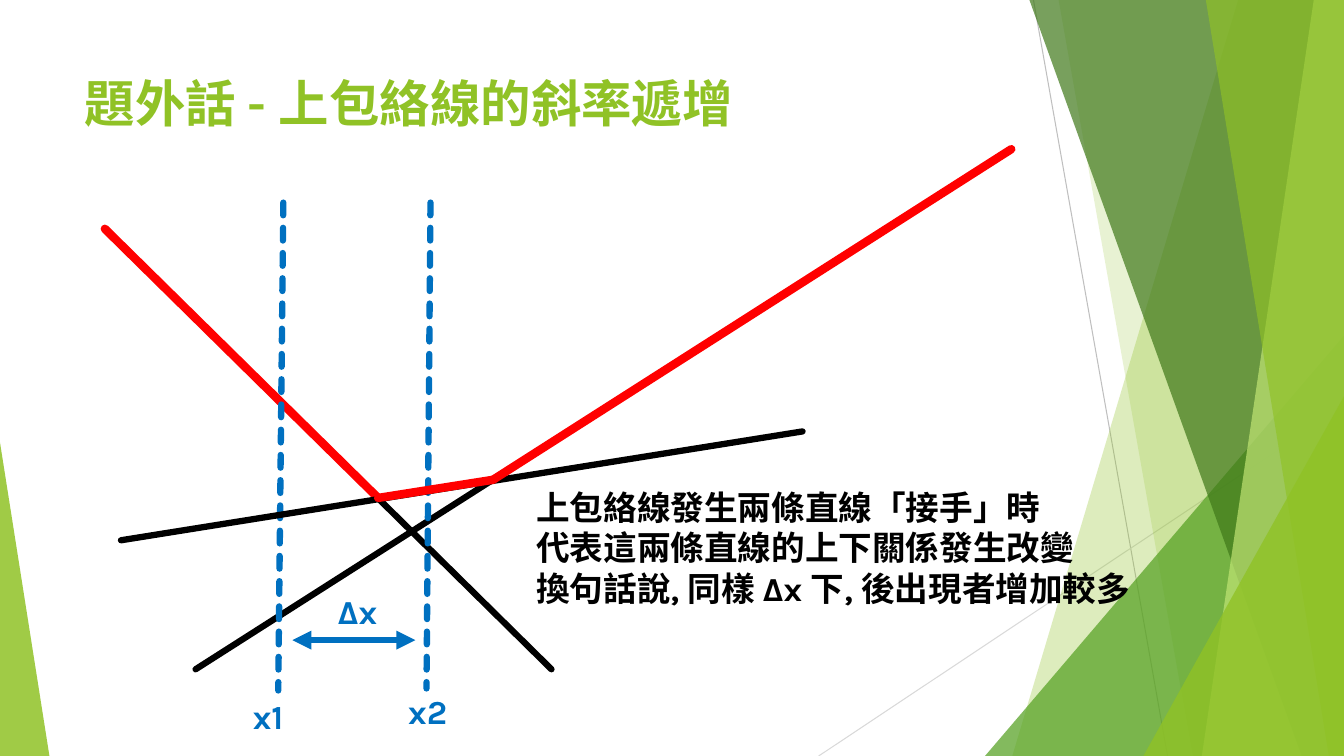
"""Build a slide on the rising slope of an upper envelope of lines."""
import lxml.etree
import pptx
import pptx.dml.color
import pptx.enum.dml
import pptx.enum.shapes
import pptx.enum.text
import pptx.oxml.ns
import pptx.util

Inches = pptx.util.Inches
GREEN, BLUE, RED, BLACK = "90C226", "0070C0", "FF0000", "000000"
WIDTH, HEIGHT = 13.33, 7.5

deck = pptx.Presentation()
deck.slide_width, deck.slide_height = Inches(WIDTH), Inches(HEIGHT)
page = deck.slides.add_slide(deck.slide_layouts[5])


def paint(color_format, color, alpha=100):
    """Set a hex colour and its opacity in percent."""
    color_format.rgb = pptx.dml.color.RGBColor.from_string(color)
    if alpha < 100:
        node = color_format._xFill.find(pptx.oxml.ns.qn("a:srgbClr"))
        lxml.etree.SubElement(node, pptx.oxml.ns.qn("a:alpha"), val=str(alpha * 1000))


def write(box, lines, size, color):
    """Fill a text frame with bold left-aligned lines."""
    frame = box.text_frame
    frame.word_wrap = True
    frame.vertical_anchor = pptx.enum.text.MSO_ANCHOR.TOP
    frame.text = "\n".join(lines)
    style = {"name": "Karla", "size": pptx.util.Pt(size), "bold": True}
    for para in frame.paragraphs:
        para.alignment = pptx.enum.text.PP_ALIGN.LEFT
        for span in para.runs:
            for key, value in style.items():
                setattr(span.font, key, value)
            paint(span.font.color, color)


bands = [
    ((12.28, WIDTH, WIDTH, 10.04), GREEN, 30),
    ((10.5, WIDTH, WIDTH, 11.83), GREEN, 20),
    ((9.77, 3.33, 3.56, 1), "54A021", 72),
    ((10.21, WIDTH, WIDTH, 12.91), "3F7819", 70),
    ((13.03, WIDTH, WIDTH, 11.92), "C0E474", 70),
    ((11.96, WIDTH, WIDTH, 13.18), GREEN, 65),
    ((11.34, 3.93, 1.99, 1), GREEN, 80),
    ((0, 4.39, 0.49, 0), GREEN, 85),
]
hairlines = [
    ((10.25, 0), (11.58, HEIGHT), "BFBFBF", 0.75, ""),
    ((WIDTH, 4.03), (8.12, HEIGHT), "D9D9D9", 0.75, ""),
]
left_top, right_top = (1.04, 2.27), (10.03, 1.48)
first_corner, second_corner = (3.75, 4.94), (4.89, 4.76)
graph = [
    (left_top, (5.47, 6.64), BLACK, 4.5, ""),
    (left_top, first_corner, RED, 6, ""),
    (right_top, (1.94, 6.64), BLACK, 4.5, ""),
    ((2.81, 2.01), (2.76, 6.85), BLUE, 4.5, "dash"),
    ((4.27, 2.01), (4.23, 6.83), BLUE, 4.5, "dash"),
    ((1.2, 5.36), (7.96, 4.28), BLACK, 4.5, ""),
    (second_corner, right_top, RED, 6, ""),
    (first_corner, second_corner, RED, 6, ""),
    ((2.9, 6.35), (4.12, 6.35), BLUE, 4.5, "arrow"),
]

for start, end, color, weight, kind in hairlines + graph:
    if (start, end) == graph[0][:2]:
        for geometry, fill, alpha in bands:
            if geometry[1] == WIDTH:
                corners = list(zip(geometry, (0, 0, HEIGHT, HEIGHT)))
                outline = page.shapes.build_freeform(
                    Inches(corners[0][0]), Inches(corners[0][1]), scale=1.0)
                outline.add_line_segments(
                    [(Inches(x), Inches(y)) for x, y in corners[1:]], close=True)
                band = outline.convert_to_shape()
            else:
                left, top, width, apex = geometry
                band = page.shapes.add_shape(
                    pptx.enum.shapes.MSO_SHAPE.ISOSCELES_TRIANGLE,
                    Inches(left), Inches(top), Inches(width), Inches(HEIGHT - top))
                band.adjustments[0] = apex
            band.shadow.inherit = False
            band.line.fill.background()
            band.fill.solid()
            paint(band.fill.fore_color, fill, alpha)
    stroke = page.shapes.add_connector(
        pptx.enum.shapes.MSO_CONNECTOR.STRAIGHT, *map(Inches, start + end))
    stroke.line.width = pptx.util.Pt(weight)
    paint(stroke.line.color, color)
    if kind == "dash":
        stroke.line.dash_style = pptx.enum.dml.MSO_LINE.SQUARE_DOT
    pen = stroke.line._get_or_add_ln()
    pen.set("cap", "rnd")
    if kind == "arrow":
        for tag in ("a:headEnd", "a:tailEnd"):
            lxml.etree.SubElement(pen, pptx.oxml.ns.qn(tag), type="triangle")
    lxml.etree.SubElement(stroke._element.spPr, pptx.oxml.ns.qn("a:effectLst"))

title = page.shapes.title
place = {"left": 0.74, "top": 0.67, "width": 9.4, "height": 1.44}
for side, length in place.items():
    setattr(title, side, Inches(length))
write(title, ["題外話 - 上包絡線的斜率遞增"], 36, GREEN)

explanation = [
    "上包絡線發生兩條直線「接手」時",
    "代表這兩條直線的上下關係發生改變",
    "換句話說, 同樣 Δx 下, 後出現者增加較多",
]
labels = [
    (2.41, 6.85, 0.71, 0.5, ["x1"]),
    (3.95, 6.81, 0.71, 0.5, ["x2"]),
    (3.25, 5.81, 0.71, 0.5, ["Δx"]),
    (5.22, 4.78, 6.18, 1.72, explanation),
]
for *spot, lines in labels:
    write(page.shapes.add_textbox(*map(Inches, spot)), lines, 24, BLACK if lines is explanation else BLUE)

deck.save("out.pptx")
